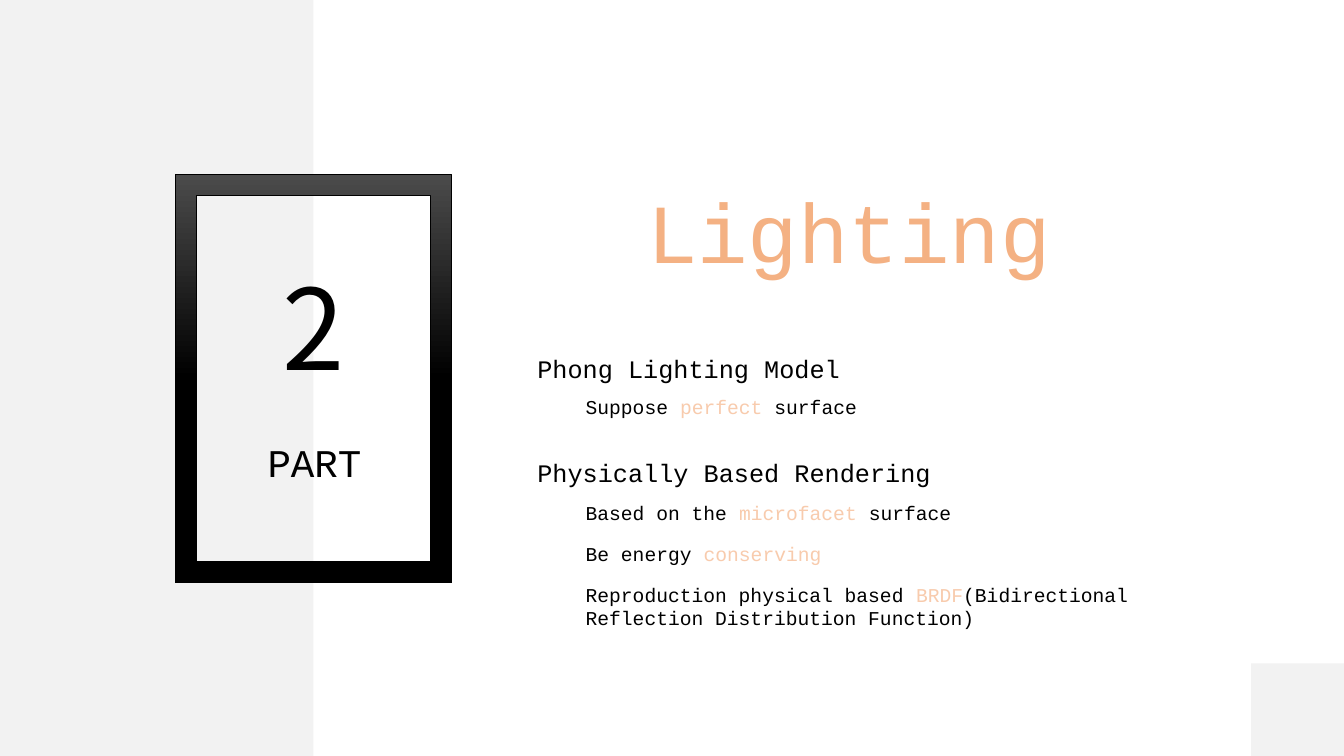
import pptx
import pptx.dml.color
import pptx.enum.shapes
import pptx.enum.text
import pptx.oxml.ns
import pptx.util
from lxml import etree

COLS, ROWS = 133.33, 75
COLORS = {"panel": "F2F2F2", "title": "F4B183", "accent": "F8CBAD",
          "ink": "000000", "sheen": "4B4B4B"}
MONO, SANS = "Courier New", "Noto Sans CJK SC"
SHAPE = pptx.enum.shapes.MSO_SHAPE
ALIGN = pptx.enum.text.PP_ALIGN
ANCHOR = pptx.enum.text.MSO_ANCHOR
AGENDA = [
    (0, 0, [("Phong Lighting Model", "ink")]),
    (1, 8.5, [("Suppose ", "ink"), ("perfect", "accent"), (" surface", "ink")]),
    (0, 28, [("Physically Based Rendering", "ink")]),
    (1, 9, [("Based on the ", "ink"), ("microfacet", "accent"), (" surface", "ink")]),
    (1, 12.5, [("Be energy ", "ink"), ("conserving", "accent")]),
    (1, 12.5, [("Reproduction physical based ", "ink"), ("BRDF", "accent"),
               ("(Bidirectional Reflection Distribution Function)", "ink")]),
]


def rgb(name):
    """Return the palette colour called name."""
    return pptx.dml.color.RGBColor.from_string(COLORS[name])


def grid(prs, col, row, cols, rows):
    """Turn grid columns and rows into left, top, width and height."""
    w, h = prs.slide_width / COLS, prs.slide_height / ROWS
    return [pptx.util.Emu(round(n)) for n in (col * w, row * h, cols * w, rows * h)]


def place(prs, sp, *cell):
    """Move a placeholder to a grid cell."""
    sp.left, sp.top, sp.width, sp.height = grid(prs, *cell)


def add_run(p, text, size, color, font=MONO):
    """Append one formatted run to a paragraph."""
    r = p.add_run()
    r.text = text
    r.font.size = pptx.util.Pt(size)
    r.font.name = font
    r.font.color.rgb = rgb(color)


def add_panel(prs, s, *cell):
    """Draw a plain grey block."""
    sp = s.shapes.add_shape(SHAPE.RECTANGLE, *grid(prs, *cell))
    sp.shadow.inherit = False
    sp.fill.solid()
    sp.fill.fore_color.rgb = rgb("panel")
    sp.line.fill.background()


def add_frame(prs, s, *cell):
    """Draw the frame with a sheen fading to black by half height."""
    sp = s.shapes.add_shape(SHAPE.FRAME, *grid(prs, *cell))
    sp.shadow.inherit = False
    sp.adjustments[0] = 0.076
    sp.fill.gradient()
    sp.fill.gradient_angle = 270
    for stop, color, pos in zip(sp.fill.gradient_stops, ("sheen", "ink"), (0, 0.5)):
        stop.color.rgb = rgb(color)
        stop.position = pos
    sp.line.color.rgb = rgb("ink")
    sp.line.width = pptx.util.Pt(0.5)


def add_label(prs, s, text, size, font, *cell):
    """Add a centred text box."""
    tf = s.shapes.add_textbox(*grid(prs, *cell)).text_frame
    tf.word_wrap = True
    p = tf.paragraphs[0]
    p.alignment = ALIGN.CENTER
    add_run(p, text, size, "ink", font)


def fill_title(prs, s, text, *cell):
    """Place and format the title."""
    sp = s.shapes.title
    place(prs, sp, *cell)
    tf = sp.text_frame
    tf.auto_size = pptx.enum.text.MSO_AUTO_SIZE.NONE
    tf.vertical_anchor = ANCHOR.BOTTOM
    p = tf.paragraphs[0]
    p.alignment = ALIGN.CENTER
    p.line_spacing = 0.9
    add_run(p, text, 60, "title")


def fill_body(prs, s, items, *cell):
    """Place the body and fill it with headings and indented points."""
    sp = s.placeholders[1]
    place(prs, sp, *cell)
    tf = sp.text_frame
    tf.auto_size = pptx.enum.text.MSO_AUTO_SIZE.NONE
    tf.vertical_anchor = ANCHOR.TOP
    for i, (level, before, runs) in enumerate(items):
        p = tf.add_paragraph() if i else tf.paragraphs[0]
        pPr = p._p.get_or_add_pPr()
        pPr.set("marL", str(pptx.util.Inches(0.48 * level)))
        pPr.set("indent", "0")
        etree.SubElement(pPr, pptx.oxml.ns.qn("a:buNone"))
        p.level = level
        p.space_before = pptx.util.Pt(before)
        for text, color in runs:
            add_run(p, text, 14 if level else 18, color)


def main():
    """Build and save the section slide."""
    prs = pptx.Presentation()
    prs.slide_width = pptx.util.Inches(13.33)
    prs.slide_height = pptx.util.Inches(7.5)
    s = prs.slides.add_slide(prs.slide_layouts[1])
    add_panel(prs, s, 0, 0, 31.1, ROWS)
    add_panel(prs, s, COLS - 9.2, ROWS - 9.2, 9.2, 9.2)
    add_frame(prs, s, 17.4, 17.3, 27.4, 40.5)
    add_label(prs, s, "2", 80, SANS, 26.5, 25.2, 9.2, 14.5)
    add_label(prs, s, "PART", 28, MONO, 23.2, 43, 16, 5.7)
    fill_title(prs, s, "Lighting", 48.5, 17.3, 71.4, 11.1)
    fill_body(prs, s, AGENDA, 52.3, 34.5, 69.2, 27.8)
    prs.save("out.pptx")


if __name__ == "__main__":
    main()
